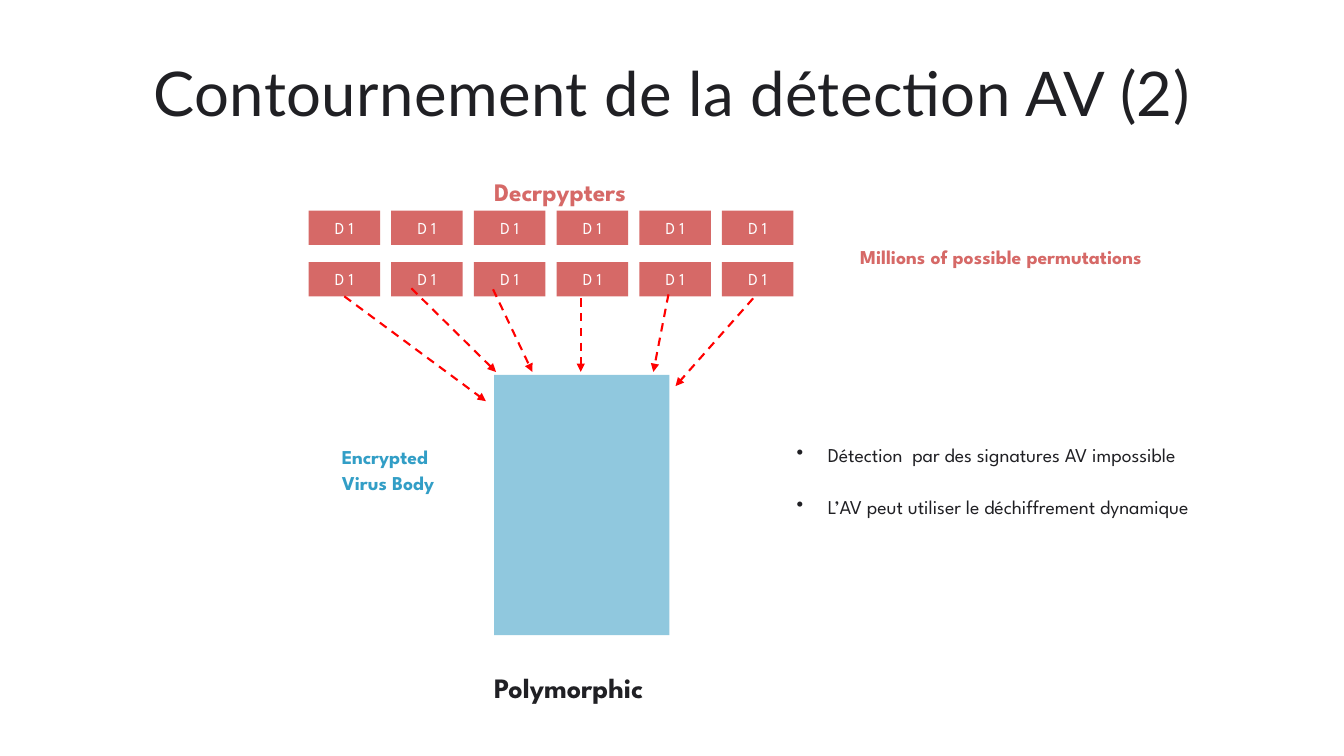
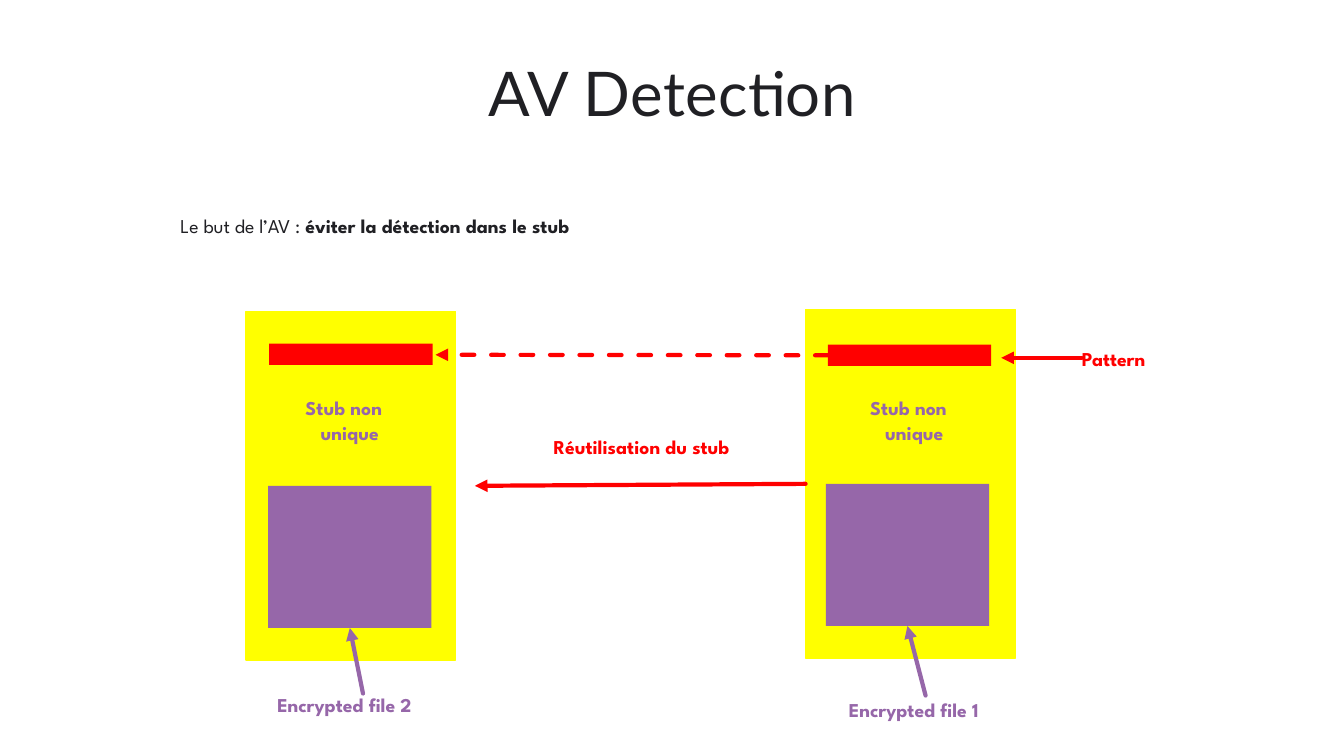
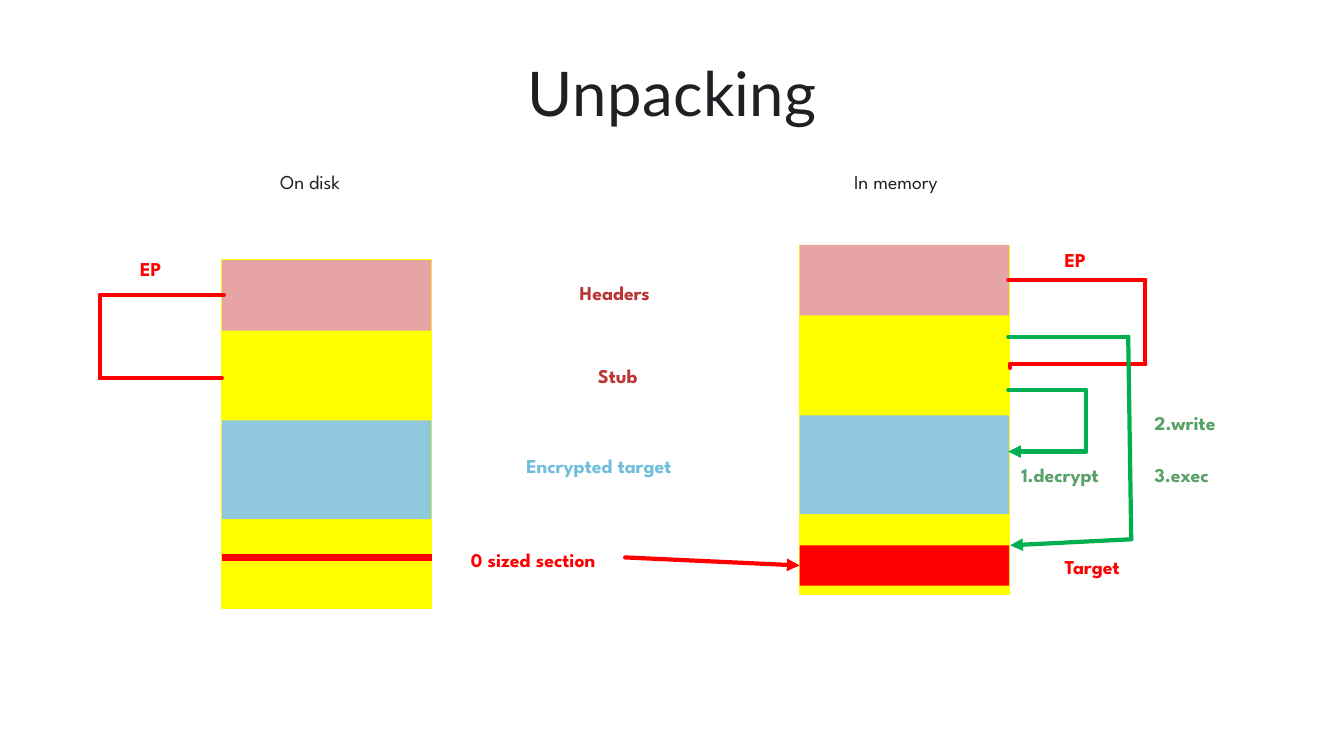
import collections
import itertools

import pptx
import pptx.dml.color
import pptx.enum.dml
import pptx.enum.shapes
import pptx.enum.text
import pptx.oxml
import pptx.oxml.ns
import pptx.util

Inches = pptx.util.Inches
Pt = pptx.util.Pt
MSO_SHAPE = pptx.enum.shapes.MSO_SHAPE
PP_ALIGN = pptx.enum.text.PP_ALIGN

INK = "202024"
WHITE = "FFFFFF"
CORAL = "D66967"
ROSE = "E6A5A4"
BRICK = "BB3533"
SKY = "90C8DE"
SKY_TEXT = "70BEDB"
BLUE = "329EC6"
YELLOW = "FFFF00"
RED = "FF0000"
PURPLE = "9667A9"
GREEN = "00B050"
GREEN_TEXT = "59A168"

BOTTOM, LEFT = 2, 1
BLANK_LINE = 18.6  # points, height of one body line

# A connector end joined to the middle of a shape's side
Side = collections.namedtuple("Side", "shape site")


def rgb(color):
    return pptx.dml.color.RGBColor.from_string(color)


def add_element(parent, tag, **attributes):
    element = pptx.oxml.parse_xml(f"<{tag} {pptx.oxml.ns.nsdecls('a')}/>")
    for name, value in attributes.items():
        element.set(name, value)
    parent.append(element)


class Deck:
    title_font = "Lato"
    body_font = "League Spartan"

    def __init__(self):
        self.presentation = pptx.Presentation()
        self.presentation.slide_width = Inches(13.33)
        self.presentation.slide_height = Inches(7.5)
        self.slide = None

    def style(self, paragraph, size, color, bold=None, font=None):
        paragraph.font.name = font or self.body_font
        paragraph.font.size = Pt(size)
        paragraph.font.color.rgb = rgb(color)
        if bold is not None:
            paragraph.font.bold = bold

    def new_slide(self, title):
        layout = self.presentation.slide_layouts[6]
        self.slide = self.presentation.slides.add_slide(layout)
        frame = self.text_frame(0.79, 0.6, 11.76, 0.7, wrap=True)
        paragraph = frame.paragraphs[0]
        run = paragraph.add_run()
        run.text = title
        run._r.get_or_add_rPr().set("spc", "30")
        paragraph.alignment = PP_ALIGN.CENTER
        paragraph.line_spacing = 0.95
        self.style(paragraph, 44, INK, font=self.title_font)

    def text_frame(self, left, top, width, height, wrap):
        box = self.slide.shapes.add_textbox(
            Inches(left), Inches(top), Inches(width), Inches(height))
        frame = box.text_frame
        frame.margin_left = frame.margin_right = 0
        frame.margin_top = frame.margin_bottom = 0
        frame.word_wrap = wrap
        frame.auto_size = pptx.enum.text.MSO_AUTO_SIZE.SHAPE_TO_FIT_TEXT
        return frame

    def text(self, left, top, width, height, lines, color, bold=True, size=14,
             wrap=False, bullet=False, gap=0, last_indent=0):
        """Write one paragraph for each line, with gap points between them."""
        frame = self.text_frame(left, top, width, height, wrap)
        for index, line in enumerate(lines):
            paragraph = frame.add_paragraph() if index else frame.paragraphs[0]
            paragraph.text = line
            paragraph.line_spacing = 1.1
            if index and gap:
                paragraph.space_before = Pt(gap)
            properties = paragraph._p.get_or_add_pPr()
            if index and last_indent:
                properties.set("marL", str(Inches(last_indent)))
            if bullet:
                properties.set("marL", str(Inches(0.31)))
                properties.set("indent", str(Inches(-0.31)))
                add_element(properties, "a:buChar", char="•")
            self.style(paragraph, size, color, bold)
        return frame

    def rectangle(self, left, top, width, height, color, outlined=False):
        shape = self.slide.shapes.add_shape(
            MSO_SHAPE.RECTANGLE,
            Inches(left), Inches(top), Inches(width), Inches(height))
        shape.shadow.inherit = False
        shape.fill.solid()
        shape.fill.fore_color.rgb = rgb(color)
        if outlined:
            shape.line.color.rgb = rgb(color)
            shape.line.width = Pt(1)
        else:
            shape.line.fill.background()
        return shape

    def labelled_rectangle(self, left, top, width, height, color, label):
        shape = self.rectangle(left, top, width, height, color)
        frame = shape.text_frame
        frame.margin_left = frame.margin_right = Inches(0.08)
        frame.margin_top = frame.margin_bottom = Inches(0.08)
        frame.word_wrap = False
        frame.vertical_anchor = pptx.enum.text.MSO_ANCHOR.MIDDLE
        paragraph = frame.paragraphs[0]
        paragraph.text = label
        paragraph.alignment = PP_ALIGN.CENTER
        self.style(paragraph, 12, WHITE)
        return shape

    def line(self, begin, end, color, width=3, dashed=False, arrow=True, cap="rnd"):
        """Draw a straight line; each end is an (x, y) point or a Side."""
        points = [(0, 0) if isinstance(place, Side) else place
                  for place in (begin, end)]
        connector = self.slide.shapes.add_connector(
            pptx.enum.shapes.MSO_CONNECTOR.STRAIGHT,
            *(Inches(value) for point in points for value in point))
        if isinstance(begin, Side):
            connector.begin_connect(begin.shape, begin.site)
        if isinstance(end, Side):
            connector.end_connect(end.shape, end.site)
        connector.line.color.rgb = rgb(color)
        connector.line.width = Pt(width)
        if dashed:
            connector.line.dash_style = pptx.enum.dml.MSO_LINE.DASH
        outline = connector.line._get_or_add_ln()
        outline.set("cap", cap)
        if arrow:
            add_element(outline, "a:tailEnd", type="triangle")
        add_element(connector._element.spPr, "a:effectLst")

    def route(self, points, color, arrow=False):
        """Draw a line through the points, with an arrowhead at the last."""
        for begin, end in itertools.pairwise(points):
            self.line(begin, end, color, arrow=arrow and end == points[-1])


def polymorphic_slide(deck):
    deck.new_slide("Contournement de la détection AV (2)")

    # Labels
    deck.text(4.9, 1.72, 1.59, 0.31, ["Decrpypters"], CORAL, size=18)
    deck.text(4.9, 6.62, 1.82, 0.35, ["Polymorphic"], INK, size=20)
    deck.text(3.39, 4.39, 1.06, 0.5, ["Encrypted", "Virus Body"], BLUE)
    deck.text(8.53, 2.41, 3.28, 0.24, ["Millions of possible permutations"], CORAL)
    deck.text(7.9, 4.37, 4.51, 0.76,
              ["Détection  par des signatures AV impossible",
               "L’AV peut utiliser le déchiffrement dynamique"],
              INK, bold=False, bullet=True, gap=BLANK_LINE)

    # Virus body and the grid of decrypters
    deck.rectangle(4.9, 3.72, 1.74, 2.58, SKY)
    decrypters = [
        deck.labelled_rectangle(3.06 + 0.82 * column, top, 0.71, 0.34, CORAL, "D 1")
        for top in (2.09, 2.6) for column in range(6)]

    # Arrows from the lower row to the body
    arrows = [
        (Side(decrypters[6], BOTTOM), (4.82, 3.98)),
        ((4.08, 2.86), (4.92, 3.69)),
        ((4.89, 2.87), (5.28, 3.69)),
        ((5.76, 2.96), (5.76, 3.69)),
        ((6.63, 2.92), (6.48, 3.69)),
        ((7.47, 2.96), (6.7, 3.83)),
    ]
    for begin, end in arrows:
        deck.line(begin, end, RED, width=1.5, dashed=True, cap="flat")


def detection_slide(deck):
    deck.new_slide("AV Detection")

    # Goal, with its second half in bold
    goal = deck.text(1.79, 2.1, 4.43, 0.24, ["Le but de l’AV : "], INK, bold=None)
    emphasis = goal.paragraphs[0].add_run()
    emphasis.text = "éviter la détection dans le stub"
    emphasis.font.bold = True

    # Two packed files: block, pattern bar, stub label, encrypted part, caption
    def packed_file(block, bar, label_left, encrypted, caption, caption_at, arrow_from):
        stub = deck.rectangle(*block, 2.08, 3.46, YELLOW, outlined=True)
        pattern = deck.rectangle(*bar, 1.62, 0.21, RED)
        deck.text(label_left, 3.9, 0.89, 0.5, ["Stub non", "unique"], PURPLE,
                  last_indent=0.15)
        content = deck.rectangle(*encrypted, 1.62, 1.41, PURPLE)
        deck.text(*caption_at, 1.55, 0.24, [caption], PURPLE)
        deck.line(arrow_from, Side(content, BOTTOM), PURPLE)
        return stub, pattern

    packed_file((2.44, 3.09), (2.67, 3.41), 3.03, (2.66, 4.82),
                "Encrypted file 2", (2.75, 6.85), (3.6, 6.88))
    stub, pattern = packed_file((7.99, 3.07), (8.21, 3.42), 8.63, (8.19, 4.8),
                                "Encrypted file 1", (8.42, 6.9), (9.18, 6.9))

    # Pattern and reuse of the stub
    deck.text(10.73, 3.42, 0.76, 0.24, ["Pattern"], RED)
    deck.line((10.73, 3.55), (9.93, 3.55), RED)
    deck.text(5.49, 4.29, 2.04, 0.24, ["Réutilisation du stub"], RED)
    deck.line(Side(stub, LEFT), (4.71, 4.82), RED)
    deck.line(Side(pattern, LEFT), (4.32, 3.52), RED, dashed=True)


def unpacking_slide(deck):
    deck.new_slide("Unpacking")

    # File on disk and image in memory
    for left, top, header_top, target_top in ((2.2, 2.58, 2.58, 4.17),
                                              (7.93, 2.44, 2.43, 4.12)):
        deck.rectangle(left, top, 2.08, 3.46, YELLOW, outlined=True)
        deck.rectangle(left, header_top, 2.08, 0.7, ROSE)
        deck.rectangle(left, target_top, 2.08, 0.98, SKY)
    deck.line((2.2, 5.53), (4.28, 5.53), RED, width=4.5, arrow=False, cap="flat")
    target = deck.rectangle(7.93, 5.41, 2.08, 0.4, RED)

    # Labels
    deck.text(2.78, 1.66, 0.67, 0.24, ["On disk"], INK, bold=False)
    deck.text(8.47, 1.66, 0.98, 0.24, ["In memory"], INK, bold=False)
    deck.text(5.75, 2.76, 1.21, 0.24, ["Headers"], BRICK, wrap=True)
    deck.text(5.93, 3.59, 0.55, 0.24, ["Stub"], BRICK, wrap=True)
    deck.text(5.22, 4.48, 3.06, 0.24, ["Encrypted target"], SKY_TEXT, wrap=True)
    deck.text(4.67, 5.41, 1.47, 0.24, ["0 sized section"], RED)
    deck.text(1.39, 2.53, 0.26, 0.24, ["EP"], RED)
    deck.text(10.56, 2.44, 0.43, 0.24, ["EP"], RED, wrap=True)
    deck.text(10.56, 5.48, 0.66, 0.24, ["Target"], RED)
    deck.text(10.13, 4.57, 1.06, 0.24, ["1.decrypt"], GREEN_TEXT, wrap=True)
    deck.text(11.45, 4.05, 0.7, 0.76, ["2.write", "3.exec"], GREEN_TEXT,
              gap=BLANK_LINE)

    # Entry points, decryption, and writing of the target
    deck.route([(2.22, 2.93), (0.99, 2.93), (0.99, 3.75), (2.2, 3.75)], RED)
    deck.route([(10, 2.78), (11.36, 2.78), (11.36, 3.61), (10.02, 3.61),
                (10.02, 3.65)], RED)
    deck.route([(10, 3.87), (10.77, 3.87), (10.77, 4.48), (10, 4.48)], GREEN,
               arrow=True)
    deck.route([(10, 3.34), (11.19, 3.34), (11.22, 5.35), (10.02, 5.41)], GREEN,
               arrow=True)
    deck.line((6.2, 5.53), Side(target, LEFT), RED)


def main():
    deck = Deck()
    polymorphic_slide(deck)
    detection_slide(deck)
    unpacking_slide(deck)
    deck.presentation.save("out.pptx")


if __name__ == "__main__":
    main()
